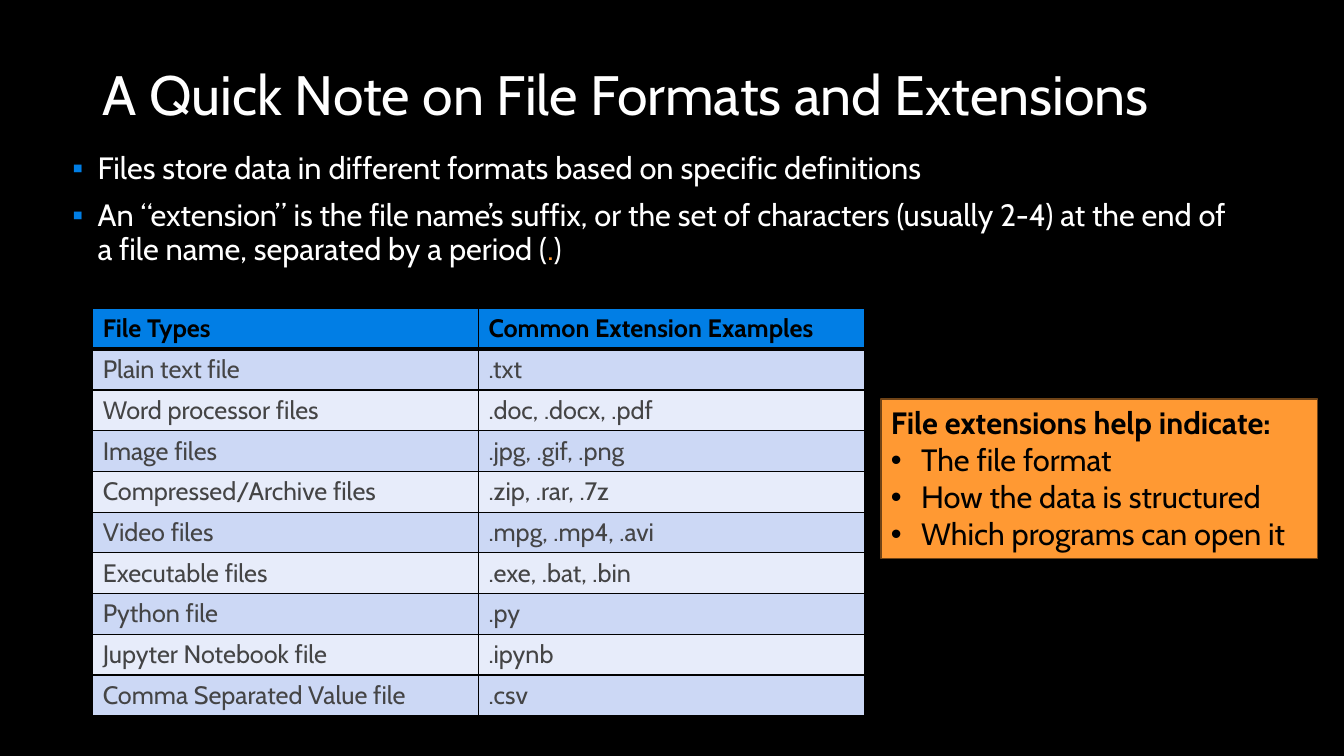
from lxml import etree
from pptx import Presentation
from pptx.dml.color import RGBColor
from pptx.enum import shapes, text
from pptx.oxml.ns import qn
from pptx.util import Pt

INK = {"black": "000000", "white": "FFFFFF", "blue": "007EE5", "head": "017EE5",
       "orange": "FF9933", "brown": "704316", "gray": "444445",
       "odd": "CCD8F5", "even": "E7ECFA"}
FACE = "Cabin"

TITLE = "A Quick Note on File Formats and Extensions"
POINTS = [
    [("Files store data in different formats based on specific definitions", "white")],
    [("An “extension” is the file name’s suffix, or the set of characters "
      "(usually 2-4) at the end of a file name, separated by a period (", "white"),
     (".", "orange"), (")", "white")],
]
TYPES = [
    ("File Types", "Common Extension Examples"),
    ("Plain text file", ".txt"),
    ("Word processor files", ".doc, .docx, .pdf"),
    ("Image files", ".jpg, .gif, .png"),
    ("Compressed/Archive files", ".zip, .rar, .7z"),
    ("Video files", ".mpg, .mp4, .avi"),
    ("Executable files", ".exe, .bat, .bin"),
    ("Python file", ".py"),
    ("Jupyter Notebook file", ".ipynb"),
    ("Comma Separated Value file", ".csv"),
]
HINT = "File extensions help indicate:"
HELPS = ["The file format", "How the data is structured", "Which programs can open it"]

LEFT, COL, ROW = 66.24, 275.5, 29.1


def rgb(name):
    return RGBColor.from_string(INK[name])


def write(para, words, size, color, bold=False):
    run = para.add_run()
    run.text = words
    for key, val in {"name": FACE, "size": Pt(size), "bold": bold}.items():
        setattr(run.font, key, val)
    run.font.color.rgb = rgb(color)


def bullet(para, char, indent, color):
    props = para._p.get_or_add_pPr()
    props.set("marL", str(Pt(indent)))
    props.set("indent", str(-Pt(indent)))
    tint = etree.SubElement(props, qn("a:buClr"))
    etree.SubElement(tint, qn("a:srgbClr"), val=INK[color])
    etree.SubElement(props, qn("a:buFont"), typeface="Arial")
    etree.SubElement(props, qn("a:buChar"), char=char)


def edge(cell, widths):
    """Draw black cell borders; widths maps a side letter to points."""
    props = cell._tc.get_or_add_tcPr()
    for at, (side, width) in enumerate(widths.items()):
        line = etree.Element(qn("a:ln" + side), w=str(Pt(width)))
        fill = etree.SubElement(line, qn("a:solidFill"))
        etree.SubElement(fill, qn("a:srgbClr"), val=INK["black"])
        props.insert(at, line)


def frame(slide, *box):
    body = slide.shapes.add_textbox(*map(Pt, box)).text_frame
    body.word_wrap = True
    return body


def add_title(slide):
    body = frame(slide, LEFT, 43.9, 828, 51.8)
    body.vertical_anchor = text.MSO_ANCHOR.MIDDLE
    para = body.paragraphs[0]
    para.line_spacing = 0.9
    write(para, TITLE, 39.6, "white")


def add_points(slide):
    body = frame(slide, 44.64, 105.84, 849.6, 100)
    for i, parts in enumerate(POINTS):
        para = body.add_paragraph() if i else body.paragraphs[0]
        para.line_spacing = 0.9
        para.space_before = Pt(10 if i else 0)
        bullet(para, "▪", 18, "blue")
        for words, color in parts:
            write(para, words, 22, color)


def add_types(slide):
    count = len(TYPES)
    grid = slide.shapes.add_table(count, 2, Pt(LEFT), Pt(220.4),
                                  Pt(2 * COL), Pt(count * ROW)).table
    for col in grid.columns:
        col.width = Pt(COL)
    for r, pair in enumerate(TYPES):
        grid.rows[r].height = Pt(ROW)
        head = r == 0
        fill = "head" if head else "odd" if r % 2 else "even"
        for c, words in enumerate(pair):
            cell = grid.cell(r, c)
            cell.fill.solid()
            cell.fill.fore_color.rgb = rgb(fill)
            edge(cell, {"L": 1, "R": 1, "T": 3 if r == 1 else 1, "B": 3 if head else 1})
            write(cell.text_frame.paragraphs[0], words, 18,
                  "black" if head else "gray", head)


def add_hint(slide):
    box = slide.shapes.add_shape(shapes.MSO_SHAPE.RECTANGLE,
                                 *map(Pt, (629.3, 285.1, 311.8, 113.8)))
    box.shadow.inherit = False
    box.fill.solid()
    box.fill.fore_color.rgb = rgb("orange")
    box.line.color.rgb = rgb("brown")
    box.line.width = Pt(1)
    body = box.text_frame
    body.word_wrap = True
    body.vertical_anchor = text.MSO_ANCHOR.TOP
    for i, words in enumerate([HINT] + HELPS):
        para = body.add_paragraph() if i else body.paragraphs[0]
        para.alignment = text.PP_ALIGN.LEFT
        if i:
            bullet(para, "•", 21.6, "black")
        write(para, words, 22, "black", i == 0)


def main():
    deck = Presentation()
    deck.slide_width, deck.slide_height = Pt(960), Pt(540)
    slide = deck.slides.add_slide(deck.slide_layouts[6])
    slide.background.fill.solid()
    slide.background.fill.fore_color.rgb = rgb("black")
    for add in (add_title, add_points, add_types, add_hint):
        add(slide)
    deck.save("out.pptx")


if __name__ == "__main__":
    main()
